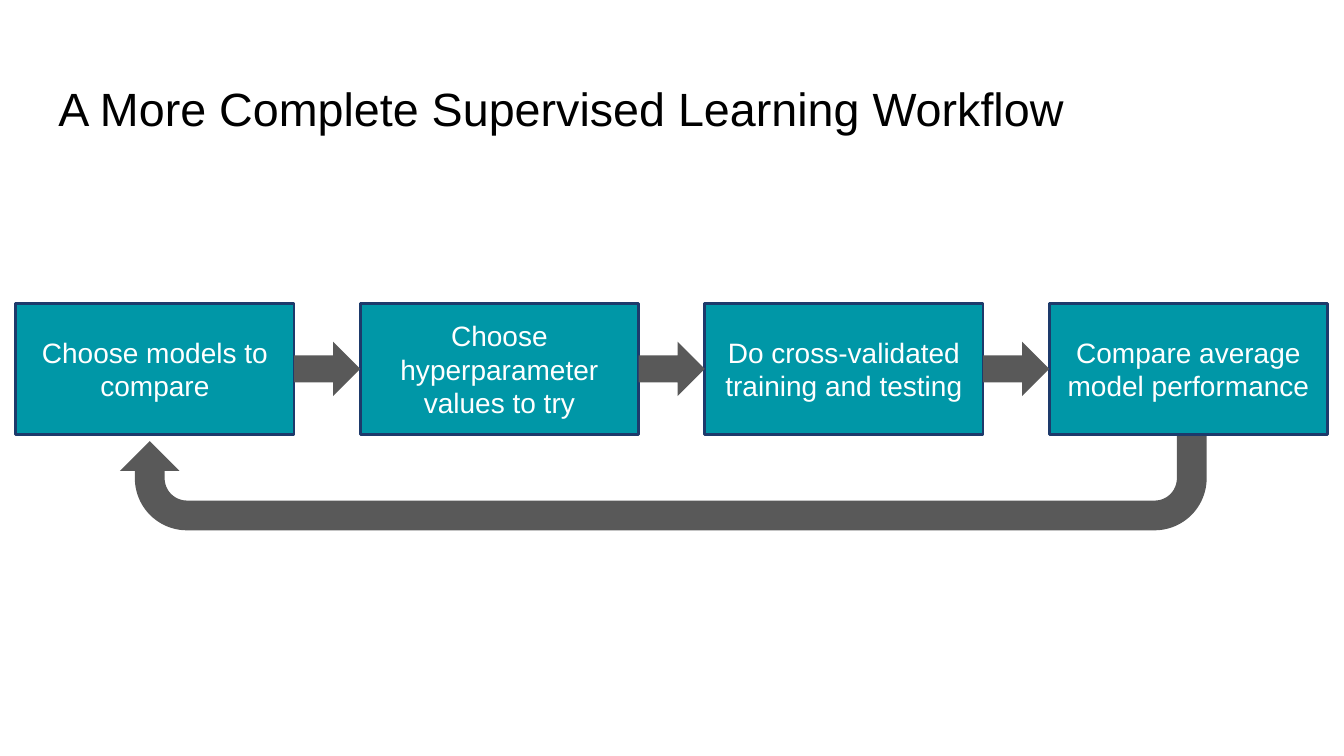
from dataclasses import dataclass

from pptx import Presentation
from pptx.dml.color import RGBColor
from pptx.enum.shapes import MSO_SHAPE
from pptx.enum.text import MSO_ANCHOR, PP_ALIGN
from pptx.util import Pt

RECT = MSO_SHAPE.RECTANGLE
RIGHT_ARROW = MSO_SHAPE.RIGHT_ARROW
U_TURN = MSO_SHAPE.U_TURN_ARROW
MIDDLE, BOTTOM = MSO_ANCHOR.MIDDLE, MSO_ANCHOR.BOTTOM
LEFT, CENTER = PP_ALIGN.LEFT, PP_ALIGN.CENTER


@dataclass(frozen=True)
class Theme:
    """Colours, font and type sizes of the slide."""
    font: str = "Arial"
    title_size: float = 33.3
    step_size: float = 20
    ink: str = "000000"
    light: str = "FFFFFF"
    step_fill: str = "0097A7"
    step_line: str = "1D3A6B"
    arrow: str = "595959"


THEME = Theme()
STEPS = [
    "Choose models to compare",
    "Choose hyperparameter values to try",
    "Do cross-validated training and testing",
    "Compare average model performance",
]


def set_text(sp, text, *, size, color, align=LEFT, anchor=MIDDLE, inset=7.2):
    """Write one formatted paragraph into a shape."""
    tf = sp.text_frame
    tf.word_wrap = True
    tf.vertical_anchor = anchor
    tf.margin_left = tf.margin_right = Pt(inset)
    tf.margin_top = tf.margin_bottom = Pt(min(inset, 9.36) if inset > 7.2 else 3.6)
    p = tf.paragraphs[0]
    p.alignment = align
    r = p.add_run()
    r.text = text
    r.font.name = THEME.font
    r.font.size = Pt(size)
    r.font.color.rgb = RGBColor.from_string(color)


def add_block(s, kind, box, *, fill, line=None):
    """Add a flat preset shape with an optional outline."""
    sp = s.shapes.add_shape(kind, *(Pt(v) for v in box))
    sp.shadow.inherit = False
    sp.fill.solid()
    sp.fill.fore_color.rgb = RGBColor.from_string(fill)
    if line:
        sp.line.color.rgb = RGBColor.from_string(line)
        sp.line.width = Pt(2)
    else:
        sp.line.fill.background()
    return sp


def add_title(s, box, text):
    """Add the slide title."""
    sp = s.shapes.add_textbox(*(Pt(v) for v in box))
    set_text(sp, text, size=THEME.title_size, color=THEME.ink,
             anchor=BOTTOM, inset=9.36)


def add_return_arrow(s, box):
    """Add the arrow that leads from the last step back to the first."""
    sp = add_block(s, U_TURN, box, fill=THEME.arrow)
    sp.rotation = 180


def add_workflow(s, box, steps, gap=47.3, arrow_h=38.9):
    """Add equal steps across the box, joined by arrows filling the gaps."""
    x, y, w, h = box
    step_w = (w - gap * (len(steps) - 1)) / len(steps)
    lefts = [x + i * (step_w + gap) for i in range(len(steps))]
    for left, text in zip(lefts, steps):
        sp = add_block(s, RECT, (left, y, step_w, h),
                       fill=THEME.step_fill, line=THEME.step_line)
        set_text(sp, text, size=THEME.step_size, color=THEME.light, align=CENTER)
    for left in lefts[:-1]:
        add_block(s, RIGHT_ARROW,
                  (left + step_w, y + (h - arrow_h) / 2, gap, arrow_h),
                  fill=THEME.arrow)


def main():
    """Build the slide and save it."""
    prs = Presentation()
    prs.slide_width, prs.slide_height = Pt(960), Pt(540)
    s = prs.slides.add_slide(prs.slide_layouts[6])
    add_return_arrow(s, (85.7, 293.8, 776.2, 85))
    add_title(s, (32.4, 46.8, 894.2, 59.8),
              "A More Complete Supervised Learning Workflow")
    add_workflow(s, (11.3, 216.7, 937, 93.6), STEPS)
    prs.save("out.pptx")


if __name__ == "__main__":
    main()
